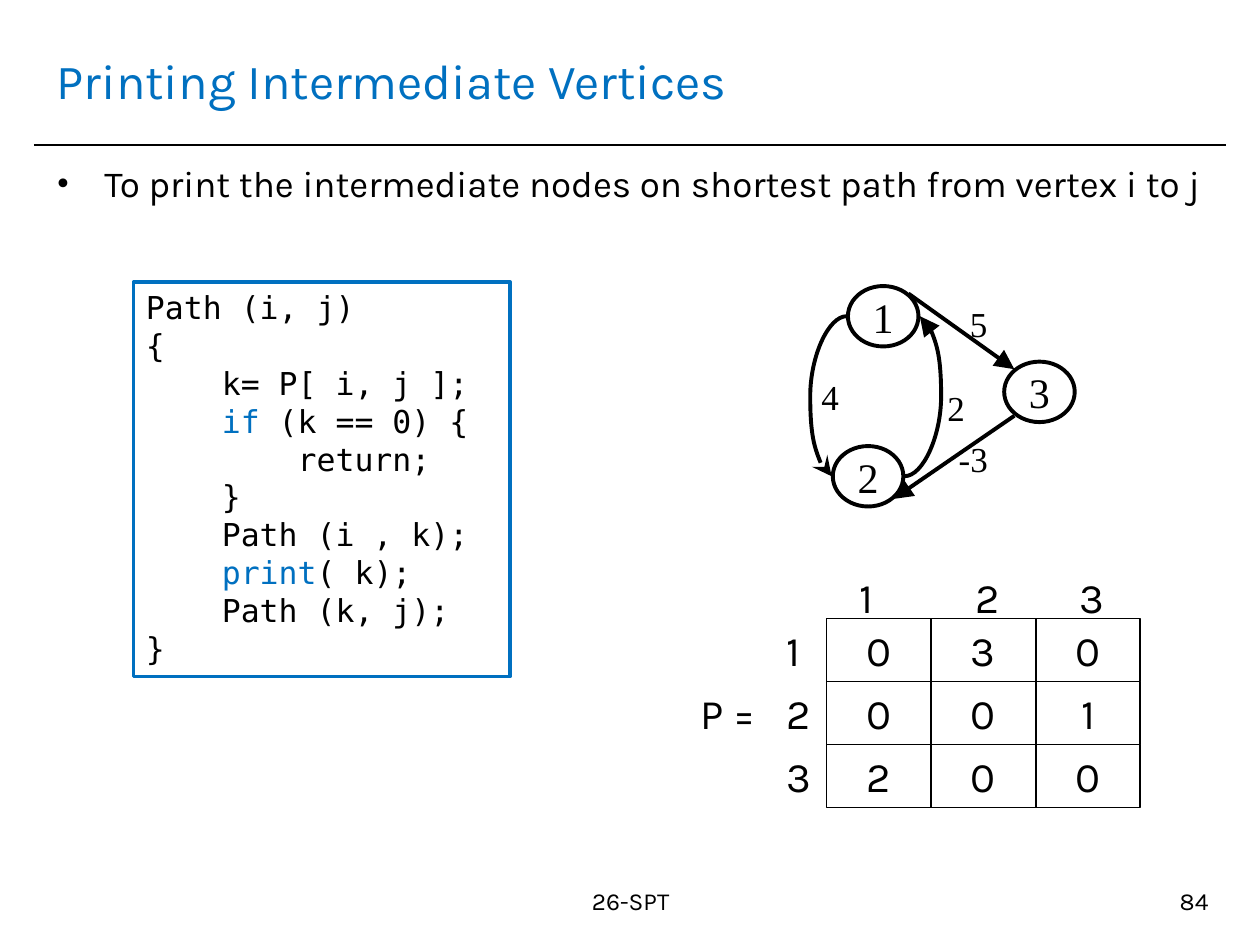
"""Build the slide on printing the intermediate vertices of a shortest path."""
from dataclasses import dataclass

from lxml import etree
from pptx import Presentation
from pptx.dml.color import RGBColor
from pptx.enum import shapes, text
from pptx.oxml.ns import qn
from pptx.util import Inches, Pt


@dataclass(frozen=True)
class Theme:
    """Fonts, colours and type sizes of the slide."""
    sans: str = "Karla"
    serif: str = "Times New Roman"
    mono: str = "DejaVu Sans Mono"
    ink: RGBColor = RGBColor(0, 0, 0)
    accent: RGBColor = RGBColor(0x00, 0x70, 0xC0)
    title: float = 28
    matrix: float = 24
    body: float = 21
    weight: float = 20
    code: float = 18
    footer: float = 14


T = Theme()
LEFT, CENTER, RIGHT = text.PP_ALIGN.LEFT, text.PP_ALIGN.CENTER, text.PP_ALIGN.RIGHT

CODE = [
    [("Path (i, j)", T.ink)],
    [("{", T.ink)],
    [("    k= P[ i, j ];", T.ink)],
    [("    ", T.ink), ("if", T.accent), (" (k == 0) {", T.ink)],
    [("        return;", T.ink)],
    [("    }", T.ink)],
    [("    Path (i , k);", T.ink)],
    [("    ", T.ink), ("print", T.accent), ("( k);", T.ink)],
    [("    Path (k, j);", T.ink)],
    [("}", T.ink)],
]
VERTICES = [("1", 6.73, 2.27), ("2", 6.61, 3.54), ("3", 7.97, 2.87)]
WEIGHTS = [("5", 7.6, 2.35), ("-3", 7.51, 3.42), ("2", 7.42, 3.02), ("4", 6.42, 2.93)]
MATRIX = [[0, 3, 0], [0, 0, 1], [2, 0, 0]]
MATRIX_LEFT, MATRIX_TOP, CELL_W, CELL_H = 6.56, 4.91, 0.83, 0.5
HEADER_LEFTS = [6.72, 7.64, 8.47]


def style_run(r, size, font=T.sans, color=T.ink):
    """Apply size, font and colour to a run."""
    r.font.size, r.font.name = Pt(size), font
    r.font.color.rgb = color


def write(tf, words, size, font=T.sans, color=T.ink, align=LEFT):
    """Put one styled paragraph in a text frame."""
    tf.text = words
    p = tf.paragraphs[0]
    p.alignment = align
    style_run(p.runs[0], size, font, color)
    return p


def add_label(s, words, box, size, font=T.sans, align=LEFT, wrap=False):
    """Add a text box and return its paragraph."""
    tf = s.shapes.add_textbox(*map(Inches, box)).text_frame
    tf.word_wrap = wrap
    return write(tf, words, size, font, align=align)


def add_outline(s, kind, box, color, width):
    """Add an unfilled shape with a coloured line."""
    sp = s.shapes.add_shape(kind, *map(Inches, box))
    sp.shadow.inherit = False
    sp.fill.background()
    sp.line.color.rgb, sp.line.width = color, Pt(width)
    return sp


def add_symbol(s, kind, words, box, width, font):
    """Add an outlined shape with one centred symbol."""
    tf = add_outline(s, kind, box, T.ink, width).text_frame
    tf.word_wrap, tf.vertical_anchor = False, text.MSO_ANCHOR.MIDDLE
    write(tf, words, T.matrix, font, align=CENTER)


def add_line(s, start, end, width, arrow=None, bend=None):
    """Add a straight or bent-curve connector, with an optional arrowhead."""
    kind = shapes.MSO_CONNECTOR.CURVE if bend else shapes.MSO_CONNECTOR.STRAIGHT
    c = s.shapes.add_connector(kind, *map(Inches, (*start, *end)))
    c.line.color.rgb, c.line.width = T.ink, Pt(width)
    sp_pr = c._element.spPr
    if arrow:
        etree.SubElement(sp_pr.find(qn("a:ln")), qn("a:tailEnd"), type=arrow, w="lg", len="lg")
    if bend:
        guides = sp_pr.find(qn("a:prstGeom")).get_or_add_avLst()
        etree.SubElement(guides, qn("a:gd"), name="adj1", fmla=f"val {round(bend * 100000)}")
    etree.SubElement(sp_pr, qn("a:effectLst"))


def add_title(s, words):
    """Place and format the title with the rule below it."""
    sp = s.shapes.title
    sp.left, sp.top, sp.width, sp.height = map(Inches, (0.35, 0.21, 9.29, 0.85))
    sp.text_frame.vertical_anchor = text.MSO_ANCHOR.MIDDLE
    write(sp.text_frame, words, T.title, color=T.accent)
    add_line(s, (0.27, 1.15), (9.73, 1.15), 1)


def add_bullet(s, words):
    """Add the bulleted statement."""
    p = add_label(s, words, (0.35, 1.23, 9.29, 0.71), T.body, wrap=True)
    p_pr = p._p.get_or_add_pPr()
    indent = Inches(0.38)
    p_pr.set("marL", str(indent))
    p_pr.set("indent", str(-indent))
    etree.SubElement(p_pr, qn("a:buFont"), typeface=T.serif)
    etree.SubElement(p_pr, qn("a:buChar"), char="•")


def add_code(s):
    """Add the framed listing with coloured keywords."""
    sp = add_outline(s, shapes.MSO_SHAPE.RECTANGLE, (1.06, 2.24, 2.99, 3.13), T.accent, 2)
    tf = sp.text_frame
    tf.word_wrap, tf.vertical_anchor = True, text.MSO_ANCHOR.TOP
    for i, line in enumerate(CODE):
        p = tf.add_paragraph() if i else tf.paragraphs[0]
        p.alignment = LEFT
        for words, color in line:
            r = p.add_run()
            r.text = words
            style_run(r, T.code, T.mono, color)


def add_graph(s):
    """Add the weighted directed graph."""
    for name, x, y in VERTICES:
        add_symbol(s, shapes.MSO_SHAPE.OVAL, name, (x, y, 0.56, 0.48), 2.25, T.serif)
    add_line(s, (7.21, 2.33), (8.05, 2.93), 2.25, "triangle")
    add_line(s, (8.05, 3.3), (7.09, 3.96), 2.25, "triangle")
    add_line(s, (6.72, 2.51), (6.6, 3.78), 2.25, "stealth", bend=2.41)
    add_line(s, (7.18, 3.78), (7.3, 2.51), 2.25, "triangle", bend=2.41)
    for words, x, y in WEIGHTS:
        add_label(s, words, (x, y, 0.43 if len(words) > 1 else 0.34, 0.43), T.weight, T.serif)


def add_matrix(s):
    """Add matrix P with its row and column numbers."""
    for i, row in enumerate(MATRIX):
        y = MATRIX_TOP + i * CELL_H
        for j, value in enumerate(row):
            box = (MATRIX_LEFT + j * CELL_W, y, CELL_W, CELL_H)
            add_symbol(s, shapes.MSO_SHAPE.RECTANGLE, str(value), box, 1, T.sans)
        add_label(s, str(i + 1), (HEADER_LEFTS[i], 4.49, 0.39, 0.51), T.matrix)
        add_label(s, str(i + 1), (6.14, y, 0.39, 0.51), T.matrix)
    add_label(s, "P =", (5.46, MATRIX_TOP + CELL_H, 0.74, 0.5), T.matrix)


def main():
    """Build and save the slide."""
    prs = Presentation()
    prs.slide_width, prs.slide_height = Inches(10), Inches(7.5)
    s = prs.slides.add_slide(prs.slide_layouts[5])
    add_title(s, "Printing Intermediate Vertices")
    add_bullet(s, "To print the intermediate nodes on shortest path from vertex i to j")
    add_code(s)
    add_graph(s)
    add_matrix(s)
    add_label(s, "26-SPT", (3.35, 6.98, 3.31, 0.52), T.footer, align=CENTER, wrap=True)
    add_label(s, "84", (7.36, 6.98, 2.33, 0.52), T.footer, align=RIGHT, wrap=True)
    prs.save("out.pptx")


if __name__ == "__main__":
    main()
